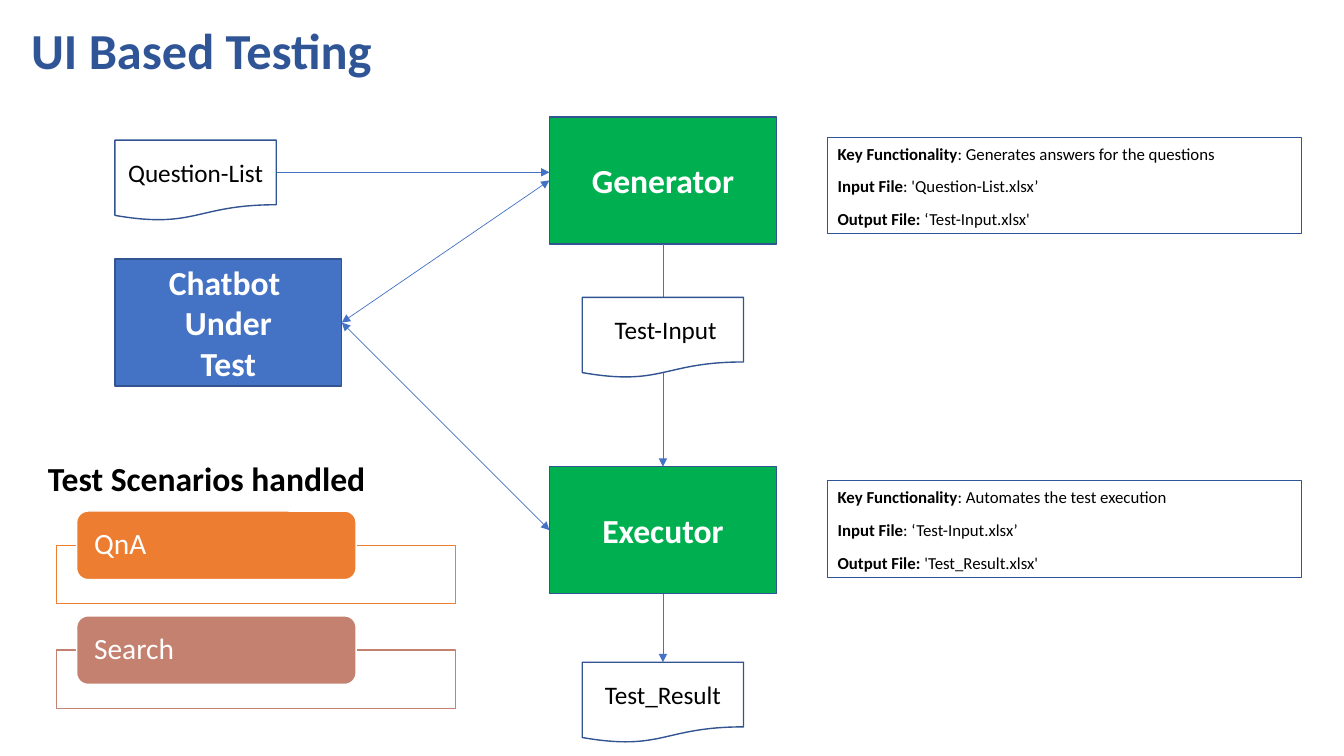
import dataclasses

import lxml.etree
import pptx
import pptx.dml.color
import pptx.enum.shapes
import pptx.enum.text
import pptx.oxml.ns
import pptx.util

Inches = pptx.util.Inches
Pt = pptx.util.Pt
RGBColor = pptx.dml.color.RGBColor
Shapes = pptx.enum.shapes.MSO_SHAPE
Align = pptx.enum.text.PP_ALIGN
Anchor = pptx.enum.text.MSO_ANCHOR
qn = pptx.oxml.ns.qn

WHITE = RGBColor(0xFF, 0xFF, 0xFF)
BLACK = RGBColor(0x00, 0x00, 0x00)
TITLE_BLUE = RGBColor(0x2F, 0x55, 0x97)
BLUE = RGBColor(0x44, 0x72, 0xC4)
OUTLINE_BLUE = RGBColor(0x32, 0x54, 0x91)
GREEN = RGBColor(0x00, 0xB0, 0x50)
ORANGE = RGBColor(0xED, 0x7D, 0x31)
CLAY = RGBColor(0xC4, 0x81, 0x70)
FONT = "Calibri"


@dataclasses.dataclass
class Box:
    left: float
    top: float
    width: float
    height: float

    @property
    def right(self):
        return self.left + self.width

    @property
    def bottom(self):
        return self.top + self.height

    @property
    def center(self):
        return self.left + self.width / 2

    @property
    def middle(self):
        return self.top + self.height / 2

    def lengths(self):
        return [Inches(value) for value in (self.left, self.top, self.width, self.height)]


def write_text(shape, paragraphs, size, color, bold=False, align=Align.LEFT,
               anchor=Anchor.TOP, wrap=True, line_spacing=None, space_after=None):
    frame = shape.text_frame
    frame.word_wrap = wrap
    frame.vertical_anchor = anchor
    for index, runs in enumerate(paragraphs):
        paragraph = frame.add_paragraph() if index else frame.paragraphs[0]
        paragraph.alignment = align
        if line_spacing:
            paragraph.line_spacing = line_spacing
        if space_after:
            paragraph.space_after = Pt(space_after)
        for text, run_bold in [(runs, bold)] if isinstance(runs, str) else runs:
            run = paragraph.add_run()
            run.text = text
            run.font.name = FONT
            run.font.size = Pt(size)
            run.font.bold = run_bold
            run.font.color.rgb = color


def add_panel(slide, kind, box, fill, line, line_width=1):
    shape = slide.shapes.add_shape(kind, *box.lengths())
    shape.shadow.inherit = False
    if fill is None:
        shape.fill.background()
    else:
        shape.fill.solid()
        shape.fill.fore_color.rgb = fill
    shape.line.color.rgb = line
    shape.line.width = Pt(line_width)
    return shape


def add_heading(slide, box, text, **text_format):
    shape = slide.shapes.add_textbox(*box.lengths())
    write_text(shape, [text], bold=True, **text_format)


def add_component(slide, box, lines, fill):
    shape = add_panel(slide, Shapes.RECTANGLE, box, fill, OUTLINE_BLUE)
    write_text(shape, lines, 24, WHITE, bold=True, align=Align.CENTER, anchor=Anchor.MIDDLE)


def add_document(slide, box, text):
    shape = add_panel(slide, Shapes.FLOWCHART_DOCUMENT, box, WHITE, OUTLINE_BLUE)
    write_text(shape, [text], 18, BLACK, align=Align.CENTER, anchor=Anchor.MIDDLE)


def add_arrow(slide, start, end, both_ends=False):
    points = [Inches(value) for value in (*start, *end)]
    connector = slide.shapes.add_connector(pptx.enum.shapes.MSO_CONNECTOR.STRAIGHT, *points)
    connector.line.color.rgb = BLUE
    connector.line.width = Pt(0.5)
    line = connector.line._get_or_add_ln()
    for tag in ["a:headEnd", "a:tailEnd"] if both_ends else ["a:tailEnd"]:
        lxml.etree.SubElement(line, qn(tag), type="triangle")
    lxml.etree.SubElement(connector._element.spPr, qn("a:effectLst"))


def add_scenario(slide, box, text, color):
    frame_box = Box(box.left, box.top + 0.34, box.width, 0.58)
    frame = add_panel(slide, Shapes.RECTANGLE, frame_box, WHITE, color)
    fill_color = frame._element.spPr.find(qn("a:solidFill"))[0]
    lxml.etree.SubElement(fill_color, qn("a:alpha"), val="90000")

    tab_box = Box(box.left + 0.2, box.top, box.width * 0.7, 0.68)
    tab = add_panel(slide, Shapes.ROUNDED_RECTANGLE, tab_box, color, WHITE)
    text_frame = tab.text_frame
    text_frame.margin_left = text_frame.margin_right = Inches(0.14)
    text_frame.margin_top = text_frame.margin_bottom = Inches(0.03)
    write_text(tab, [text], 21, WHITE, anchor=Anchor.MIDDLE, line_spacing=0.9)


def add_scenarios(slide, box, scenarios):
    add_heading(slide, Box(box.left - 0.2, box.top, 3.38, 0.5), "Test Scenarios handled",
                size=24, color=BLACK, align=Align.CENTER, wrap=False)
    for index, (text, color) in enumerate(scenarios):
        row = Box(box.left, box.top + 0.58 + 1.04 * index, box.width, 0.92)
        add_scenario(slide, row, text, color)


def add_note(slide, box, functionality, input_file, output_file):
    shape = add_panel(slide, Shapes.RECTANGLE, box, None, TITLE_BLUE, 0.75)
    paragraphs = [
        [("Key Functionality", True), (f": {functionality}", False)],
        [("Input File", True), (f": {input_file}", False)],
        [("Output File: ", True), (output_file, False)],
    ]
    write_text(shape, paragraphs, 12, BLACK, line_spacing=1.07, space_after=8)


def add_flow(slide, box):
    chatbot = Box(box.left, box.top + 1.41, 2.25, 1.26)
    generator = Box(box.left + 4.31, box.top, 2.25, 1.26)
    executor = Box(generator.left, box.top + 3.47, 2.25, 1.26)
    document_left = generator.center - 0.8
    question_list = Box(box.left, box.top + 0.23, 1.6, 0.8)
    test_input = Box(document_left, box.top + 1.79, 1.6, 0.8)
    test_result = Box(document_left, box.bottom - 0.8, 1.6, 0.8)

    add_component(slide, chatbot, ["Chatbot ", "Under", "Test"], BLUE)
    add_component(slide, generator, ["Generator"], GREEN)
    add_component(slide, executor, ["Executor"], GREEN)

    chatbot_side = (chatbot.right, chatbot.middle)
    question_level = box.top + 0.55
    add_arrow(slide, (generator.center, generator.bottom), (executor.center, executor.top))
    add_arrow(slide, (executor.center, executor.bottom), (test_result.center, test_result.top))
    add_arrow(slide, (question_list.right, question_level), (generator.left, question_level))
    add_arrow(slide, chatbot_side, (generator.left, generator.middle), both_ends=True)
    add_arrow(slide, chatbot_side, (executor.left, executor.middle), both_ends=True)

    add_document(slide, question_list, "Question-List")
    add_document(slide, test_input, " Test-Input")
    add_document(slide, test_result, "Test_Result")


def main():
    presentation = pptx.Presentation()
    presentation.slide_width = Inches(13.33)
    presentation.slide_height = Inches(7.5)
    slide = presentation.slides.add_slide(presentation.slide_layouts[6])

    add_heading(slide, Box(0.21, 0.14, 12.31, 0.71), "UI Based Testing",
                size=36, color=TITLE_BLUE)
    add_flow(slide, Box(1.14, 1.16, 6.56, 6.21))
    add_scenarios(slide, Box(0.56, 4.49, 3.96, 2.54), [("QnA", ORANGE), ("Search", CLAY)])
    add_note(slide, Box(8.21, 1.36, 4.7, 0.96), "Generates answers for the questions",
             "'Question-List.xlsx’", "‘Test-Input.xlsx'")
    add_note(slide, Box(8.21, 4.77, 4.7, 0.96), "Automates the test execution",
             "‘Test-Input.xlsx’", "'Test_Result.xlsx'")
    presentation.save("out.pptx")


if __name__ == "__main__":
    main()
